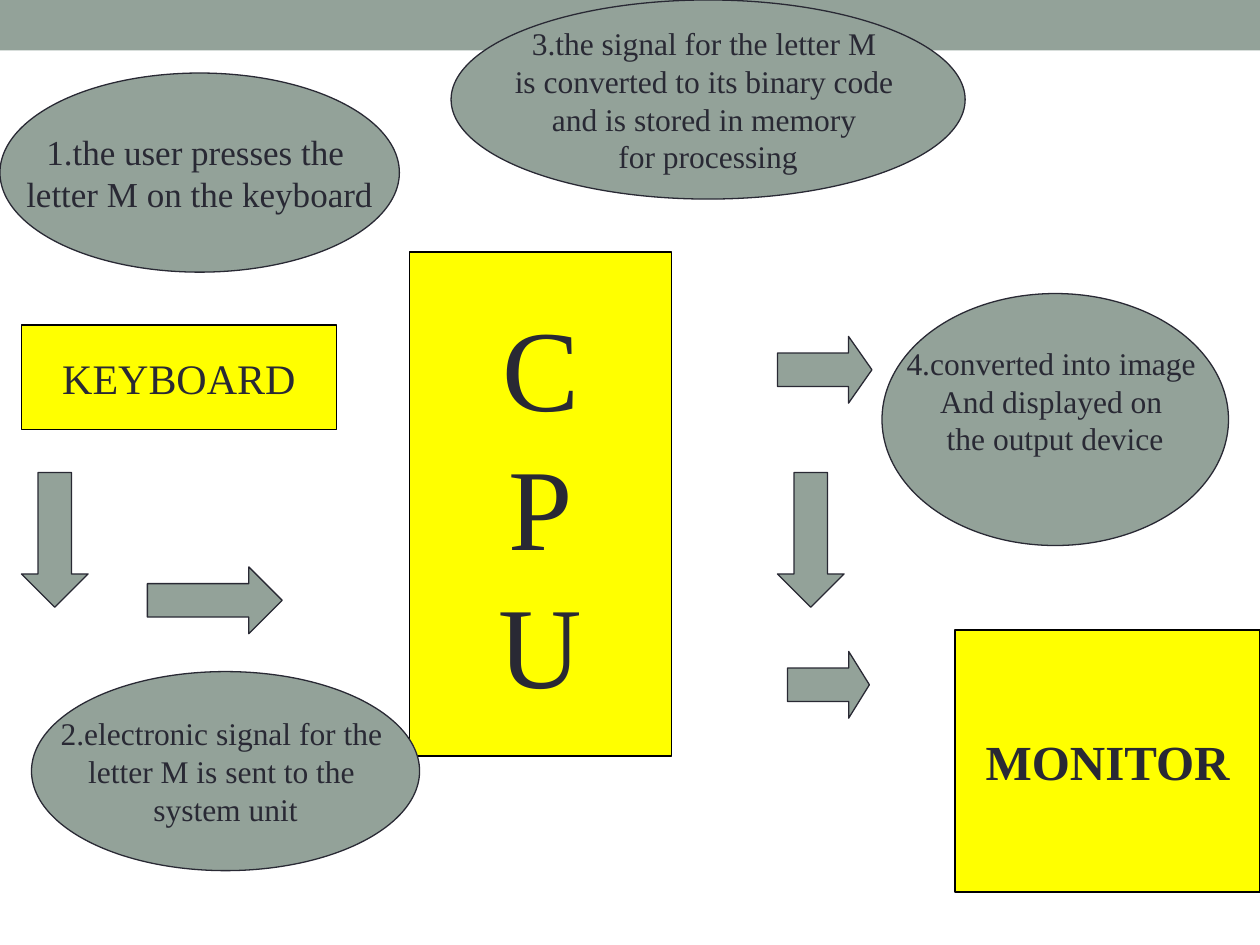
from dataclasses import dataclass
from pptx import Presentation
from pptx.dml.color import RGBColor
from pptx.enum import shapes, text
from pptx.util import Inches, Pt


@dataclass
class Theme:
    sage: str = "93A299"
    yellow: str = "FFFF00"
    ink: str = "292934"
    black: str = "000000"
    font: str = "Times New Roman"
    huge: int = 66
    large: int = 28
    label: int = 24
    note: int = 20
    small: int = 18


theme = Theme()
kind = shapes.MSO_SHAPE

deck = Presentation()
deck.slide_width, deck.slide_height = Inches(10), Inches(7.5)
slide = deck.slides.add_slide(deck.slide_layouts[6])


def draw(form, place, fill, line=None):
    shape = slide.shapes.add_shape(form, *map(Inches, place))
    shape.shadow.inherit = False
    shape.fill.solid()
    shape.fill.fore_color.rgb = RGBColor.from_string(fill)
    if line:
        shape.line.color.rgb = RGBColor.from_string(line)
        shape.line.width = Pt(0.75)
    else:
        shape.line.fill.background()
    return shape


def write(shape, lines, size, bold=False):
    frame = shape.text_frame
    frame.word_wrap = False
    frame.vertical_anchor = text.MSO_ANCHOR.MIDDLE
    frame.text = "\n".join(lines)
    for para in frame.paragraphs:
        para.alignment = text.PP_ALIGN.CENTER
        for run in para.runs:
            run.font.name = theme.font
            run.font.size = Pt(size)
            run.font.bold = bold
            run.font.color.rgb = RGBColor.from_string(theme.ink)


# Top band
draw(kind.RECTANGLE, (0, 0, 10, 0.4), theme.sage)

# Devices
devices = [
    ((3.25, 2, 2.08, 4), "CPU", theme.huge, False),
    ((7.58, 5, 2.42, 2.08), ["MONITOR"], theme.large, True),
    ((0.17, 2.58, 2.5, 0.83), ["KEYBOARD"], theme.label, False),
]
for place, lines, size, bold in devices:
    box = draw(kind.RECTANGLE, place, theme.yellow, theme.black)
    write(box, lines, size, bold)

# Arrows
arrows = [
    (kind.RIGHT_ARROW, (6.17, 2.67, 0.75, 0.53), 0.35),
    (kind.DOWN_ARROW, (0.17, 3.75, 0.53, 1.07), 0.5),
    (kind.RIGHT_ARROW, (1.17, 4.5, 1.07, 0.53), 0.5),
    (kind.DOWN_ARROW, (6.17, 3.75, 0.53, 1.07), 0.5),
    (kind.RIGHT_ARROW, (6.25, 5.17, 0.65, 0.53), 0.31),
]
for form, place, head in arrows:
    arrow = draw(form, place, theme.sage, theme.ink)
    arrow.adjustments[0] = 0.5
    arrow.adjustments[1] = head

# Steps, with the bottom inset that lifts the text
steps = [
    ((0, 0.58, 3.17, 1.58), theme.note, 0.05,
     ["1.the user presses the ", "letter M on the keyboard"]),
    ((0.25, 5.33, 3.08, 1.58), theme.small, 0.05,
     ["2.electronic signal for the ", "letter M is sent to the ",
      "system unit"]),
    ((3.58, 0, 4.08, 1.58), theme.small, 0.05,
     ["3.the signal for the letter M ", "is converted to its binary code ",
      "and is stored in memory ", "for processing"]),
    ((7, 2.33, 2.75, 2), theme.small, 0.35,
     ["4.converted into image ", "And displayed on ",
      "the output device"]),
]
for place, size, inset, lines in steps:
    step = draw(kind.OVAL, place, theme.sage, theme.ink)
    write(step, lines, size)
    step.text_frame.margin_bottom = Inches(inset)

deck.save("out.pptx")
